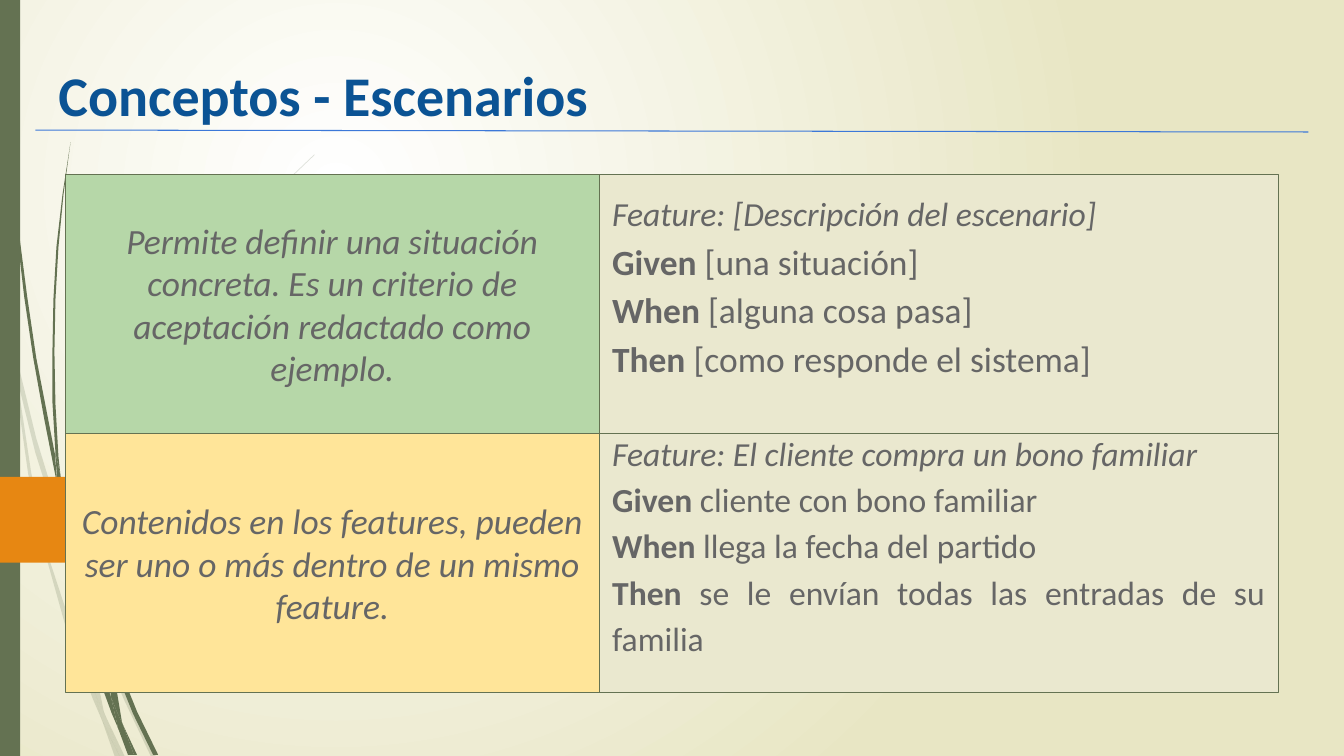
from lxml.etree import SubElement as Sub
from pptx import Presentation
from pptx.dml.color import RGBColor as RGB
from pptx.enum.shapes import MSO_CONNECTOR as Link, MSO_SHAPE as Form
from pptx.enum.text import MSO_ANCHOR as Anchor, PP_ALIGN as Align
from pptx.oxml.ns import qn
from pptx.util import Pt

HUES = {
    "white": "FFFFFF", "sand": "E8E6C4", "moss": "647252", "orange": "E78712",
    "blue": "0B5394", "rule": "3C78D8", "grey": "666666",
    "green": "B6D7A8", "yellow": "FFE599", "cream": "EAE8CF",
}
UNIT = Pt(0.72)
PAD = 9.36

PALE = [
    "11,350 9,322 0,282 0,299 10,344",
    "58,522 84,599 85,586 62,520 36,435 14,345 17,376 35,449",
    "92,607 88,596 88,610 123,694 150,751 155,751 127,692",
    "119,751 124,751 105,711",
    "93,683 70,619 47,549 31,469 17,376 11,350 28,470 44,546 65,621 92,693 101,714 99,707",
    "84,599 87,646 93,683 96,692 105,711 103,706 91,646 88,610 88,608",
    "88,584 93,523 110,462 132,405 160,349 193,296 229,245 268,198 290,175 312,154 "
    "312,153 289,175 268,197 228,244 191,294 158,348 129,402 107,461 90,521 85,584 "
    "85,586 88,596",
    "101,714 114,751 119,751",
    "96,692 93,683 99,707 101,714 119,751 105,711",
]
DARK = [
    "7,110 11,172 17,233 24,294 33,355 44,416 56,477 57,481 55,457 55,453 36,355 "
    "27,294 19,232 13,171 8,109 5,48 4,0 3,0 4,48",
    "88,592 106,645 106,633 106,631 93,590 75,532 60,472 64,505 75,549",
    "113,649 110,641 111,656 132,708 152,749 157,749 136,706",
    "110,691 98,657 84,607 72,556 64,505 57,477 68,557 79,608 93,659 111,708 117,722 116,717",
    "60,472 58,453 55,401 54,349 55,297 58,245 63,193 70,141 62,193 56,245 53,297 "
    "52,349 52,399 55,449",
    "133,749 136,749 122,719",
    "57,477 64,505 60,472 55,449 55,453",
    "111,633 115,592 125,552 140,513 158,476 180,440 205,406 231,374 245,359 261,344 "
    "260,344 245,358 231,373 204,405 179,439 156,474 137,512 122,551 110,591 106,631 110,641",
    "117,722 127,749 131,749",
    "106,645 110,691 116,706 122,719 121,716 111,656 109,651",
    "116,706 110,691 116,717 117,722 130,749 133,749 122,719",
]


def hue(name):
    return RGB.from_string(HUES[name])


def paint(shape, fill, line=None):
    shape.shadow.inherit = False
    shape.fill.solid()
    shape.fill.fore_color.rgb = hue(fill)
    if line:
        shape.line.color.rgb = hue(line)
        shape.line.width = Pt(0.75)
    else:
        shape.line.fill.background()
    return shape


def write(par, text, size=24, color="grey", bold=False, italic=False):
    run = par.add_run()
    run.text = text
    font = run.font
    font.name, font.size, font.bold, font.italic = "Calibri", Pt(size), bold, italic
    font.color.rgb = hue(color)


def setup(shape, anchor):
    frame = shape.text_frame
    frame.word_wrap = True
    frame.vertical_anchor = anchor
    frame.margin_left = frame.margin_right = Pt(PAD)
    frame.margin_top = frame.margin_bottom = Pt(PAD)
    return frame


def backdrop(slide):
    fill = slide.background.fill
    fill.gradient()
    for stop, name in zip(fill.gradient_stops, ("white", "sand")):
        stop.color.rgb = hue(name)
    grad = slide.element.find(".//" + qn("a:gradFill"))
    grad.remove(grad.find(qn("a:lin")))
    focus = Sub(grad, qn("a:path"), {"path": "circle"})
    Sub(focus, qn("a:fillToRect"), l="50000", t="50000", r="100000", b="100000")


def blade(slide, dots, alpha=None):
    pts = [tuple(map(int, dot.split(","))) for dot in dots.split()]
    pen = slide.shapes.build_freeform(*pts[0], scale=UNIT)
    pen.add_line_segments(pts[1:], close=True)
    leaf = paint(pen.convert_to_shape(), "moss")
    if alpha:
        tone = leaf.element.spPr.find(".//" + qn("a:srgbClr"))
        Sub(tone, qn("a:alpha"), val=str(alpha * 1000))


def margin(slide, height):
    for dots in PALE:
        blade(slide, dots, alpha=20)
    for dots in DARK:
        blade(slide, dots)
    add = slide.shapes.add_shape
    paint(add(Form.RECTANGLE, 0, 0, Pt(14.4), Pt(height)), "moss")
    paint(add(Form.PENTAGON, 0, Pt(340.6), Pt(137.5), Pt(61.2)), "orange")


def header(slide, text, left, top, width, height):
    box = slide.shapes.add_textbox(Pt(left), Pt(top), Pt(width), Pt(height))
    par = setup(box, Anchor.BOTTOM).paragraphs[0]
    par.line_spacing = 1.5
    write(par, text, size=40, color="blue", bold=True)
    base = top + height - 7.9
    rule = slide.shapes.add_connector(
        Link.STRAIGHT, Pt(left - 7.2), Pt(base), Pt(left + width + 7.9), Pt(base + 1.4))
    rule.line.color.rgb = hue("rule")
    rule.line.width = Pt(0.75)
    Sub(rule.element.spPr, qn("a:effectLst"))


def cell(slide, fill, left, top, width, height):
    box = slide.shapes.add_shape(
        Form.RECTANGLE, Pt(left), Pt(top), Pt(width), Pt(height))
    return setup(paint(box, fill, "moss"), Anchor.MIDDLE)


def note(slide, text, fill, *box):
    par = cell(slide, fill, *box).paragraphs[0]
    par.alignment = Align.CENTER
    write(par, text, size=25.3, italic=True)


def steps(slide, title, lines, size, *box):
    frame = cell(slide, "cream", *box)
    frame.margin_bottom = Pt(PAD + 29.3)
    par = frame.paragraphs[0]
    write(par, title, italic=True)
    for key, text in lines:
        par = frame.add_paragraph()
        write(par, key, size=size, bold=True)
        write(par, " " + text, size=size)
    for par in frame.paragraphs:
        par.alignment = Align.JUSTIFY
        par.line_spacing = 1.15


def grid(slide, rows, left, top, width, height):
    split = width * 0.44
    tall = height / len(rows)
    for i, (text, fill, title, lines, size) in enumerate(rows):
        y = top + i * tall
        steps(slide, title, lines, size, left + split, y, width - split, tall)
        note(slide, text, fill, left, y, split, tall)


def main():
    deck = Presentation()
    deck.slide_width, deck.slide_height = Pt(960), Pt(540)
    slide = deck.slides.add_slide(deck.slide_layouts[6])
    backdrop(slide)
    margin(slide, 540)
    header(slide, "Conceptos - Escenarios", 32.4, 14.4, 894.2, 86.4)
    rows = [
        ("Permite definir una situación concreta. Es un criterio de aceptación "
         "redactado como ejemplo.", "green",
         "Feature: [Descripción del escenario]",
         [("Given", "[una situación]"), ("When", "[alguna cosa pasa]"),
          ("Then", "[como responde el sistema]")], 25.3),
        ("Contenidos en los features, pueden ser uno o más dentro de un mismo "
         "feature.", "yellow",
         "Feature: El cliente compra un bono familiar",
         [("Given", "cliente con bono familiar"),
          ("When", "llega la fecha del partido"),
          ("Then", "se le envían todas las entradas de su familia")], 24),
    ]
    grid(slide, rows, 46.8, 124.6, 866.2, 370)
    deck.save("out.pptx")


if __name__ == "__main__":
    main()
